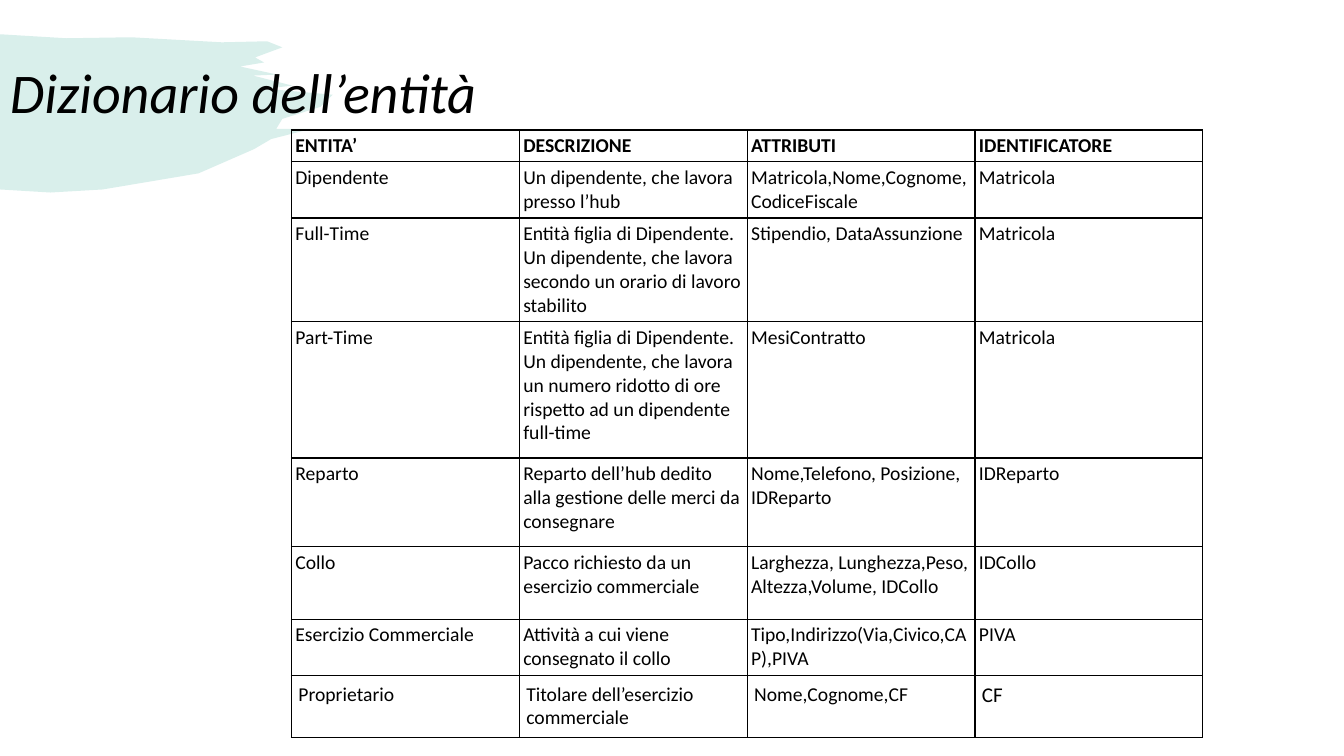
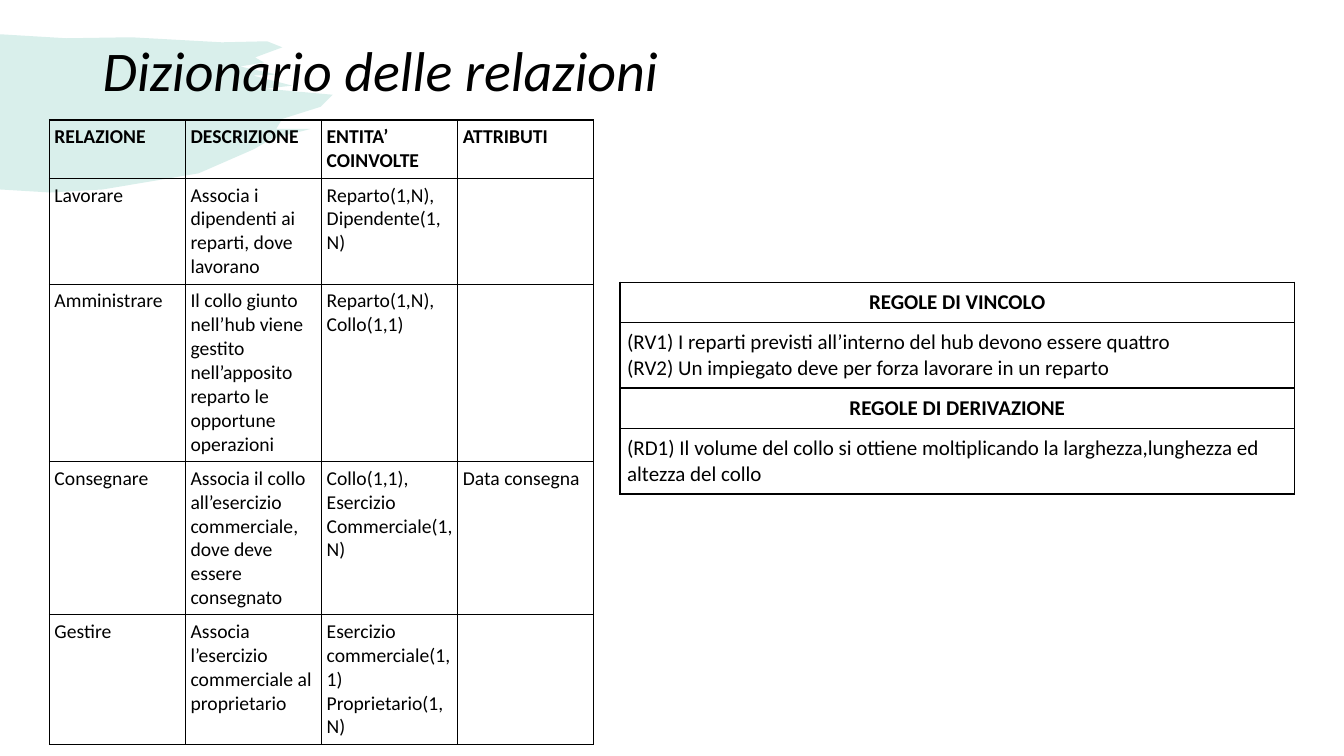
from lxml import etree
from pptx import Presentation
from pptx import util as u
from pptx.dml.color import RGBColor
from pptx.enum import text
from pptx.oxml.ns import qn

FONT = "Calibri"
INK, MINT = "000000", "45B19E"
MINT_OPACITY = 20

BRUSH_OUTLINE = [
    (0, 0.34), (0.66, 0.38), (1.3, 0.37), (2.2, 0.42), (2.65, 0.41), (2.8, 0.47),
    (2.53, 0.57), (2.62, 0.62), (2.38, 0.66), (2.75, 0.74), (2.51, 0.75), (2.9, 0.85),
    (2.63, 0.88), (3.3, 0.94), (3.18, 1.06), (2.8, 1.18), (2.74, 1.28), (3.08, 1.28),
    (2.69, 1.38), (2.52, 1.48), (1.97, 1.72), (1.02, 1.88), (0.5, 1.91), (0, 1.88),
]

ENTITIES = [
    ("ENTITA’", "DESCRIZIONE", "ATTRIBUTI", "IDENTIFICATORE"),
    ("Dipendente", "Un dipendente, che lavora presso l’hub",
     "Matricola,Nome,Cognome, CodiceFiscale", "Matricola"),
    ("Full-Time",
     "Entità figlia di Dipendente.\n"
     "Un dipendente, che lavora secondo un orario di lavoro stabilito",
     "Stipendio, DataAssunzione", "Matricola"),
    ("Part-Time",
     "Entità figlia di Dipendente.\n"
     "Un dipendente, che lavora un numero ridotto di ore rispetto ad un dipendente full-time",
     "MesiContratto", "Matricola"),
    ("Reparto", "Reparto dell’hub dedito alla gestione delle merci da consegnare",
     "Nome,Telefono, Posizione, IDReparto", "IDReparto"),
    ("Collo", "Pacco richiesto da un esercizio commerciale",
     "Larghezza, Lunghezza,Peso, Altezza,Volume, IDCollo", "IDCollo"),
    ("Esercizio Commerciale", "Attività a cui viene consegnato il collo",
     "Tipo,Indirizzo(Via,Civico,CAP),PIVA", "PIVA"),
]
OWNER = [("Proprietario", "Titolare dell’esercizio commerciale", "Nome,Cognome,CF", "CF")]
RELATIONS = [
    ("RELAZIONE", "DESCRIZIONE", "ENTITA’ COINVOLTE", "ATTRIBUTI"),
    ("Lavorare", "Associa i dipendenti ai reparti, dove lavorano",
     "Reparto(1,N), Dipendente(1,N)", ""),
    ("Amministrare",
     "Il collo giunto nell’hub viene gestito nell’apposito reparto le opportune operazioni",
     "Reparto(1,N),\nCollo(1,1)", ""),
    ("Consegnare", "Associa il collo all’esercizio commerciale, dove deve essere consegnato",
     "Collo(1,1),\nEsercizio Commerciale(1,N)", "Data consegna"),
    ("Gestire", "Associa l’esercizio commerciale al proprietario",
     "Esercizio commerciale(1,1)\nProprietario(1,N)", ""),
]
RULES = [
    ("REGOLE DI VINCOLO",),
    ("(RV1) I reparti previsti all’interno del hub devono essere quattro\n"
     "(RV2) Un impiegato deve per forza lavorare in un reparto",),
    ("REGOLE DI DERIVAZIONE",),
    ("(RD1) Il volume del collo si ottiene moltiplicando la larghezza,lunghezza ed "
     "altezza del collo",),
]

SLIDES = [
    {"title": "Dizionario dell’entità", "title_at": (0, 0.22), "tables": [
        {"rows": ENTITIES, "at": (2.89, 1.29), "column": 2.26, "inset": 0.04,
         "heights": (0.31, 0.56, 1.03, 1.35, 0.88, 0.72, 0.56), "headings": (0,)},
        {"rows": OWNER, "at": (2.89, 6.7), "column": 2.26, "inset": 0.07,
         "heights": (0.62,), "sizes": {"CF": 15}},
    ]},
    {"title": "Dizionario delle relazioni", "title_at": (0.92, 0), "tables": [
        {"rows": RELATIONS, "at": (0.49, 1.19), "column": 1.35, "inset": 0.05,
         "heights": (0.58, 1.05, 1.76, 1.52, 1.29), "headings": (0,)},
        {"rows": RULES, "at": (6.15, 2.8), "column": 6.69, "inset": 0.07, "size": 15,
         "heights": (0.4, 0.65) * 2, "headings": (0, 2),
         "heading_align": text.PP_ALIGN.CENTER},
    ]},
]


def rgb(colour):
    return RGBColor.from_string(colour)


def inches(values):
    return [u.Inches(value) for value in values]


def style_font(font, **changes):
    for name, value in {"name": FONT, **changes}.items():
        setattr(font, name, value)
    font.color.rgb = rgb(INK)


def add_brush(slide):
    start, *outline = map(inches, BRUSH_OUTLINE)
    builder = slide.shapes.build_freeform(*start)
    builder.add_line_segments(outline, close=True)
    brush = builder.convert_to_shape()
    brush.shadow.inherit = False
    brush.line.fill.background()
    brush.fill.solid()
    brush.fill.fore_color.rgb = rgb(MINT)
    colour = brush._element.spPr.find(".//" + qn("a:srgbClr"))
    etree.SubElement(colour, qn("a:alpha"), val=str(MINT_OPACITY * 1000))


def add_title(slide, title, at):
    frame = slide.shapes.add_textbox(*inches((*at, 11.5, 1.45))).text_frame
    frame.word_wrap = True
    frame.vertical_anchor = text.MSO_ANCHOR.MIDDLE
    paragraph = frame.paragraphs[0]
    paragraph.text = title
    paragraph.line_spacing = 0.9
    style_font(paragraph.runs[0].font, size=u.Pt(40), italic=True)


def outline_cell(cell):
    properties = cell._tc.get_or_add_tcPr()
    for side in ("lnL", "lnR", "lnT", "lnB"):
        edge = etree.SubElement(properties, qn("a:" + side), w=str(u.Pt(1)))
        fill = etree.SubElement(edge, qn("a:solidFill"))
        etree.SubElement(fill, qn("a:srgbClr"), val=INK)
    cell.fill.background()


def add_grid(slide, rows, at, column, inset, heights, headings=(), size=14, sizes=None,
             heading_align=None):
    """Outlined table; sizes overrides the text size of single entries."""
    count = len(rows[0])
    extent = inches((*at, column * count, sum(heights)))
    table = slide.shapes.add_table(len(rows), count, *extent).table
    table.first_row = table.horz_banding = False
    for row, height in zip(table.rows, heights):
        row.height = u.Inches(height)
    for r, entries in enumerate(rows):
        for c, entry in enumerate(entries):
            cell = table.cell(r, c)
            outline_cell(cell)
            for side in ("left", "right", "top", "bottom"):
                setattr(cell, "margin_" + side, u.Inches(inset))
            cell.text = entry
            for paragraph in cell.text_frame.paragraphs:
                if r in headings:
                    paragraph.alignment = heading_align
                for run in paragraph.runs:
                    style_font(run.font, size=u.Pt((sizes or {}).get(entry, size)),
                               bold=r in headings)


def main():
    deck = Presentation()
    deck.slide_width, deck.slide_height = inches((13.33, 7.5))
    for content in SLIDES:
        slide = deck.slides.add_slide(deck.slide_layouts[6])
        add_brush(slide)
        add_title(slide, content["title"], content["title_at"])
        for table in content["tables"]:
            add_grid(slide, **table)
    deck.save("out.pptx")


if __name__ == "__main__":
    main()
